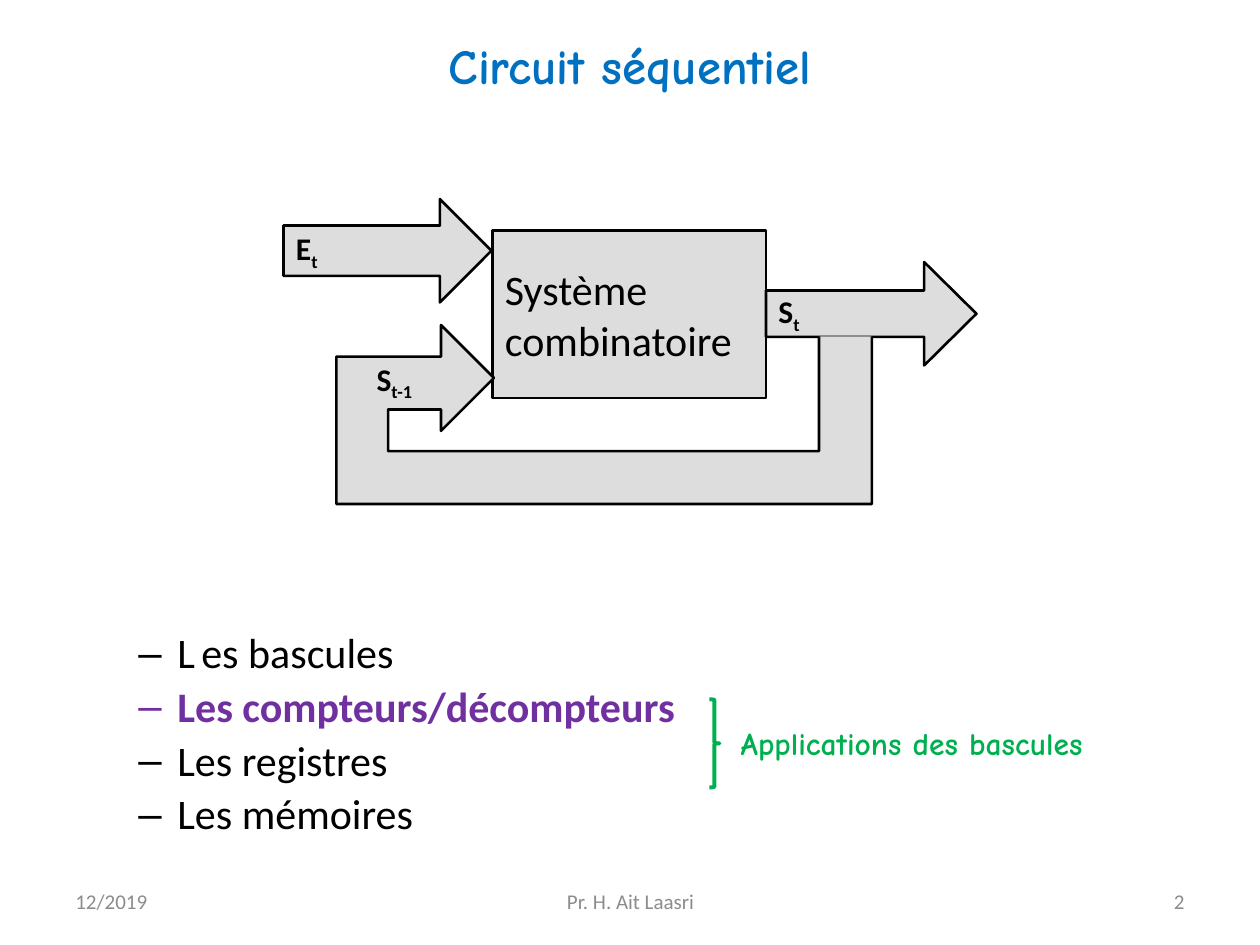
from pptx import Presentation
from pptx.util import Inches, Pt
from pptx.dml.color import RGBColor
from pptx.enum.shapes import MSO_SHAPE
from pptx.enum.text import MSO_ANCHOR, PP_ALIGN
from lxml import etree
from pptx.oxml.ns import qn

COLORS = {"title": "0070C0", "black": "000000", "accent": "7030A0",
          "green": "00B050", "footer": "8C8C8C", "block": "DDDDDD"}

prs = Presentation()
prs.slide_width, prs.slide_height = Inches(10), Inches(7.5)
slide = prs.slides.add_slide(prs.slide_layouts[6])
shapes = slide.shapes


def write(sp, lines, size, color="black", font="Calibri", bold=False,
          align=PP_ALIGN.LEFT, wrap=False, sub=None):
    tf = sp.text_frame
    tf.word_wrap = wrap
    tf.vertical_anchor = MSO_ANCHOR.MIDDLE
    for i, line in enumerate(lines):
        p = tf.paragraphs[0] if i == 0 else tf.add_paragraph()
        p.add_run().text = line
        p.alignment = align
        p.font.size, p.font.name, p.font.bold = Pt(size), font, bold
        p.font.color.rgb = RGBColor.from_string(COLORS[color])
    if sub:
        r = p.add_run()
        r.text = sub
        r.font._element.set("baseline", "-25000")
    return tf


def style(sp, line="black", width=1.5, fill="block"):
    sp.shadow.inherit = False
    sp.line.color.rgb = RGBColor.from_string(COLORS[line])
    sp.line.width = Pt(width)
    if fill:
        sp.fill.solid()
        sp.fill.fore_color.rgb = RGBColor.from_string(COLORS[fill])
    else:
        sp.fill.background()


# Title
sp = shapes.add_textbox(Inches(0.5), Inches(-0.11), Inches(9), Inches(1.25))
write(sp, ["Circuit séquentiel"], 28, "title", "Comic Neue", True, PP_ALIGN.CENTER, True)

# Topic list
sp = shapes.add_textbox(Inches(0.5), Inches(4.97), Inches(9), Inches(1.86))
topics = ["L\tes bascules", "Les compteurs/décompteurs", "Les registres", "Les mémoires"]
tf = write(sp, topics, 24, wrap=True)
tf.vertical_anchor = MSO_ANCHOR.TOP
for p in tf.paragraphs:
    p.line_spacing, p.space_before = 0.9, Pt(4.8)
    pPr = p._p.get_or_add_pPr()
    pPr.set("marL", str(Inches(0.81)))
    pPr.set("indent", str(Inches(-0.31)))
    defaults = pPr.find(qn("a:defRPr"))
    defaults.addprevious(etree.Element(qn("a:buFont"), typeface="Arial"))
    defaults.addprevious(etree.Element(qn("a:buChar"), char="–"))
highlight = tf.paragraphs[1]
highlight.font.bold = True
highlight.font.color.rgb = RGBColor.from_string(COLORS["accent"])

# Combinational block
sp = shapes.add_shape(MSO_SHAPE.RECTANGLE, Inches(3.91), Inches(1.83), Inches(2.17), Inches(1.33))
style(sp)
write(sp, ["Système", "combinatoire"], 24)

# Input and output arrows
for x, y, w, adjustments, name in [(2.25, 1.58, 1.65, (0.487, 0.498), "E"),
                                   (6.08, 2.08, 1.67, (0.449, 0.506), "S")]:
    sp = shapes.add_shape(MSO_SHAPE.RIGHT_ARROW, Inches(x), Inches(y), Inches(w), Inches(0.82))
    for i, value in enumerate(adjustments):
        sp.adjustments[i] = value
    style(sp)
    write(sp, [name], 18, bold=True, sub="t")

# Feedback path, open where it leaves the output arrow
feedback = [(6.5, 2.67), (6.5, 3.58), (3.08, 3.58), (3.08, 3.25), (3.5, 3.25),
            (3.5, 3.42), (3.92, 3), (3.5, 2.58), (3.5, 2.83), (2.67, 2.83),
            (2.67, 4), (6.92, 4), (6.92, 2.67)]
points = [(Inches(x), Inches(y)) for x, y in feedback]
builder = shapes.build_freeform(*points[0])
builder.add_line_segments(points[1:], close=False)
style(builder.convert_to_shape())
sp = shapes.add_textbox(Inches(2.89), Inches(2.81), Inches(0.55), Inches(0.43))
write(sp, ["S"], 18, bold=True, sub="t-1")

# Brace and its label
sp = shapes.add_shape(MSO_SHAPE.RIGHT_BRACE, Inches(5.63), Inches(5.55), Inches(0.08), Inches(0.7))
style(sp, "green", 2.25, None)
sp = shapes.add_textbox(Inches(5.78), Inches(5.7), Inches(3.28), Inches(0.4))
write(sp, ["Applications des bascules"], 18, "green", "Comic Neue", True)

# Footer
for x, w, text, align in [(0.5, 2.33, "12/2019", PP_ALIGN.LEFT),
                          (3.42, 3.17, "Pr. H. Ait Laasri", PP_ALIGN.CENTER),
                          (7.17, 2.33, "2", PP_ALIGN.RIGHT)]:
    sp = shapes.add_textbox(Inches(x), Inches(6.95), Inches(w), Inches(0.4))
    write(sp, [text], 12, "footer", align=align, wrap=True)

prs.save("out.pptx")
